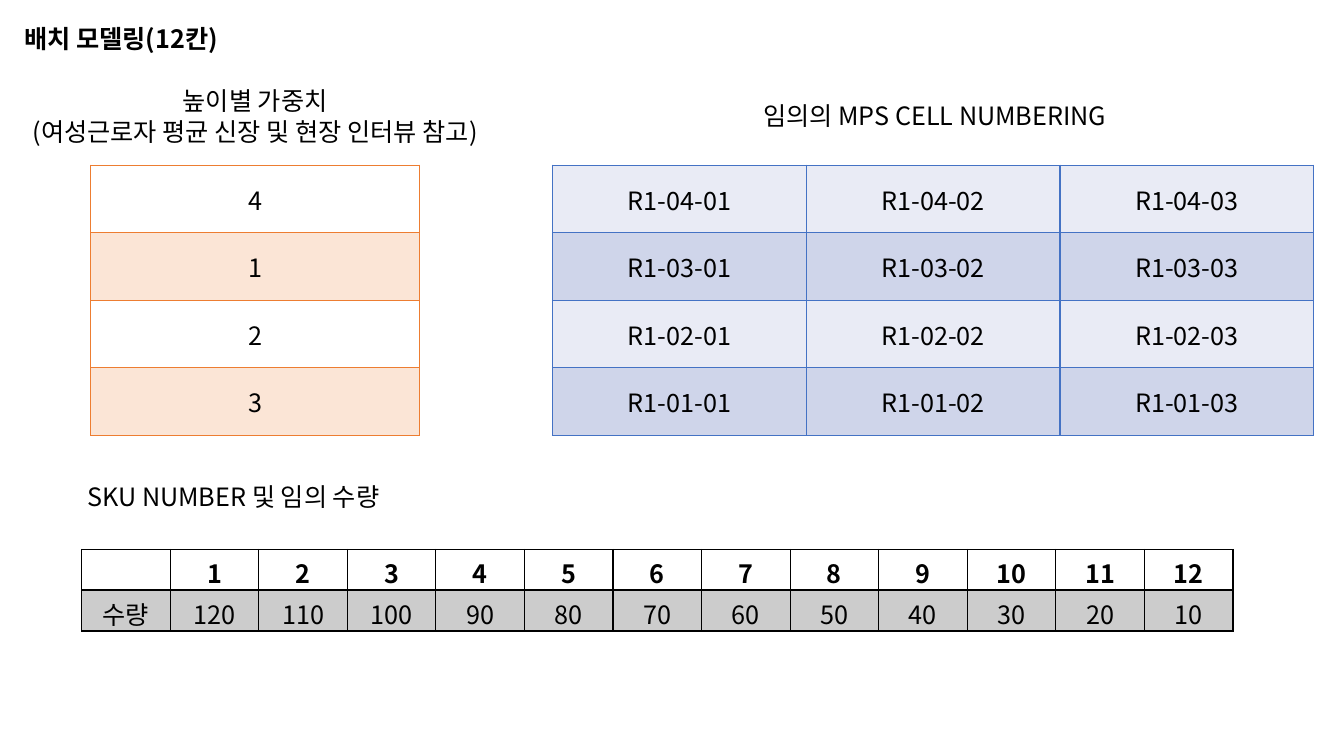
from lxml import etree
from pptx import Presentation
from pptx import util as u
from pptx.dml.color import RGBColor
from pptx.enum import text
from pptx.oxml.ns import qn

FONT = "Noto Sans CJK KR"
COLORS = {
    "black": "000000",
    "gray": "CCCCCC",
    "orange": "ED7D31",
    "peach": "FBE5D6",
    "blue": "4472C4",
    "light": "E9EBF5",
    "lavender": "CFD5EA",
}
CENTER = text.PP_ALIGN.CENTER
LEFT = text.PP_ALIGN.LEFT


def write(frame, words, size=18, bold=False, align=CENTER, color="black"):
    for index, line in enumerate(words.split("\n")):
        para = frame.paragraphs[0] if index == 0 else frame.add_paragraph()
        para.alignment = align
        span = para.add_run()
        span.text = line
        span.font.size = u.Pt(size)
        span.font.bold = bold
        span.font.name = FONT
        span.font.color.rgb = RGBColor.from_string(COLORS[color])
        east_asian = etree.SubElement(span.font._element, qn("a:ea"))
        east_asian.set("typeface", FONT)


def add_title(page, words, left, top, width, height):
    title = page.shapes.title
    title.left, title.top = u.Inches(left), u.Inches(top)
    title.width, title.height = u.Inches(width), u.Inches(height)
    frame = title.text_frame
    frame.word_wrap = True
    frame.auto_size = text.MSO_AUTO_SIZE.NONE
    frame.vertical_anchor = text.MSO_ANCHOR.TOP
    write(frame, words, bold=True, align=LEFT)
    for para in frame.paragraphs:
        para.line_spacing = 1.0
        para.space_before = u.Pt(0)


def add_label(page, words, left, top, width, height, align=CENTER):
    box = page.shapes.add_textbox(
        u.Inches(left), u.Inches(top), u.Inches(width), u.Inches(height))
    box.text_frame.word_wrap = True
    write(box.text_frame, words, align=align)


def set_borders(cell, color, widths):
    properties = cell._tc.get_or_add_tcPr()
    for side in "LRTB":
        line = etree.SubElement(properties, qn("a:ln" + side))
        line.set("w", str(u.Pt(widths.get(side, 1))))
        fill = etree.SubElement(line, qn("a:solidFill"))
        etree.SubElement(fill, qn("a:srgbClr")).set("val", COLORS[color])


def add_grid(page, rows, left, top, width, height, border, bands,
             anchor=text.MSO_ANCHOR.MIDDLE, header=False):
    count = len(rows[0])
    table = page.shapes.add_table(
        len(rows), count, u.Inches(left), u.Inches(top),
        u.Inches(width), u.Inches(height)).table
    table.first_row = header
    table.horz_banding = False
    for column in table.columns:
        column.width = u.Inches(width / count)
    for r, values in enumerate(rows):
        table.rows[r].height = u.Inches(height / len(rows))
        heading = header and r == 0
        widths = {"B" if heading else "T": 2} if header and r < 2 else {}
        band = bands[r % len(bands)]
        for c, value in enumerate(values):
            cell = table.cell(r, c)
            cell.vertical_anchor = anchor
            set_borders(cell, border, widths)
            if band:
                cell.fill.solid()
                cell.fill.fore_color.rgb = RGBColor.from_string(COLORS[band])
            else:
                cell.fill.background()
            if value:
                write(cell.text_frame, value, bold=heading)


def main():
    deck = Presentation()
    deck.slide_width, deck.slide_height = u.Inches(13.33), u.Inches(7.5)
    page = deck.slides.add_slide(deck.slide_layouts[5])

    add_title(page, "배치 모델링(12칸)", 0.14, 0.18, 2.18, 0.4)

    cells = [[f"R1-{level:02}-{bay:02}" for bay in range(1, 4)]
             for level in range(4, 0, -1)]
    add_grid(page, cells, 5.48, 1.64, 7.55, 2.68, "blue", ["light", "lavender"])
    add_label(page, "임의의 MPS CELL NUMBERING", 7.47, 0.95, 3.77, 0.4, align=LEFT)

    add_label(page, "높이별 가중치\n(여성근로자 평균 신장 및 현장 인터뷰 참고)",
              0, 0.8, 5.06, 0.71)
    weights = [[weight] for weight in "4123"]
    add_grid(page, weights, 0.9, 1.64, 3.26, 2.68, "orange", [None, "peach"])

    add_label(page, "SKU NUMBER 및 임의 수량", 0.43, 4.73, 3.77, 0.4)
    numbers = [""] + [str(sku) for sku in range(1, 13)]
    quantities = ["수량"] + [str(amount) for amount in range(120, 0, -10)]
    add_grid(page, [numbers, quantities], 0.81, 5.45, 11.42, 0.81, "black",
             [None, "gray"], anchor=text.MSO_ANCHOR.TOP, header=True)

    deck.save("out.pptx")


main()
